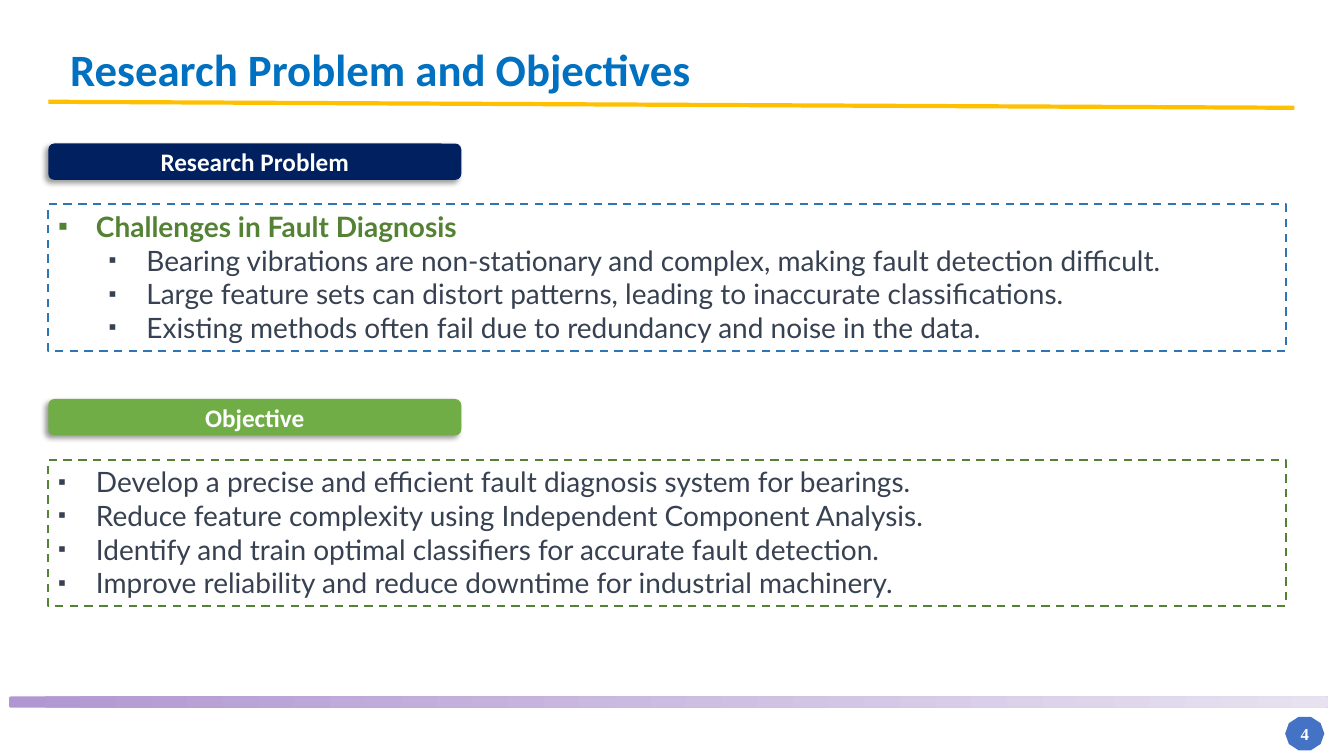
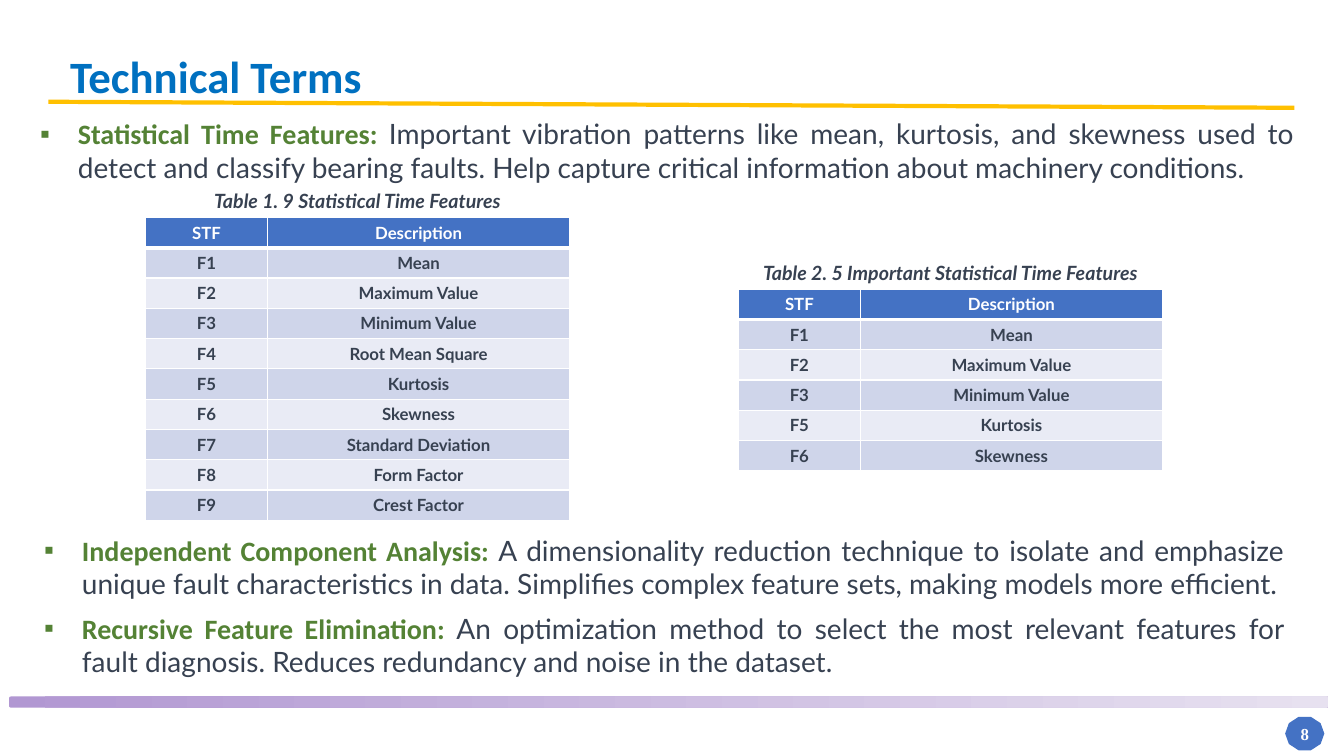
from dataclasses import dataclass

from pptx import Presentation
from pptx.dml.color import RGBColor
from pptx.enum.dml import MSO_LINE_DASH_STYLE as Dash
from pptx.enum.shapes import MSO_CONNECTOR as Connector, MSO_SHAPE as Shape
from pptx.enum.text import MSO_ANCHOR as Anchor, PP_ALIGN as Align
from pptx.oxml.ns import qn
from pptx.util import Pt
from lxml.etree import SubElement


@dataclass(frozen=True)
class Theme:
    heading_font: str = "Calibri"
    body_font: str = "Lato"
    number_font: str = "Times New Roman"
    title_size: float = 32
    body_size: float = 20
    label_size: float = 18
    caption_size: float = 14
    small_size: float = 12
    title: str = "0070C0"
    rule: str = "FFC000"
    text: str = "374151"
    term: str = "548235"
    white: str = "FFFFFF"
    navy: str = "002060"
    green: str = "70AD47"
    blue_frame: str = "2E75B6"
    accent: str = "4472C4"
    odd_row: str = "CFD5EA"
    even_row: str = "E9EBF5"
    band_start: str = "B197D2"
    band_end: str = "E7E1F0"


@dataclass(frozen=True)
class Box:
    left: float
    top: float
    width: float
    height: float

    def lengths(self):
        return Pt(self.left), Pt(self.top), Pt(self.width), Pt(self.height)


THEME = Theme()
INDENT = 27
ROW_HEIGHT = 21.6
COLUMN_WIDTHS = (87, 216)


def color(value):
    return RGBColor.from_string(value)


def style_font(font, name, size, value, bold=False, italic=False):
    font.name, font.size = name, Pt(size)
    font.bold, font.italic = bold, italic
    font.color.rgb = color(value)


def add_run(paragraph, text, *style, **options):
    run = paragraph.add_run()
    run.text = text
    style_font(run.font, *style, **options)


def add_bullet(paragraph, level=0, percent=100):
    paragraph.alignment = Align.JUSTIFY
    paragraph.level = level
    properties = paragraph._p.get_or_add_pPr()
    properties.set("marL", str(Pt(INDENT + 36 * level)))
    properties.set("indent", str(Pt(-INDENT)))
    SubElement(properties, qn("a:buSzPct"), val=str(percent * 1000))
    SubElement(properties, qn("a:buFont"), typeface="Arial")
    SubElement(properties, qn("a:buChar"), char="▪")


def add_shape(slide, kind, box, fill=None):
    shape = slide.shapes.add_shape(kind, *box.lengths())
    shape.shadow.inherit = False
    shape.line.fill.background()
    if fill:
        shape.fill.solid()
        shape.fill.fore_color.rgb = color(fill)
    else:
        shape.fill.background()
    return shape


def add_text_frame(slide, box):
    frame = slide.shapes.add_textbox(*box.lengths()).text_frame
    frame.word_wrap = True
    return frame


def center_text(shape, text, *style):
    frame = shape.text_frame
    frame.margin_left = frame.margin_right = 0
    frame.margin_top = frame.margin_bottom = 0
    frame.vertical_anchor = Anchor.MIDDLE
    paragraph = frame.paragraphs[0]
    paragraph.alignment = Align.CENTER
    add_run(paragraph, text, *style, bold=True)


def add_drop_shadow(shape):
    effects = shape._element.spPr.find(qn("a:effectLst"))
    shadow = SubElement(effects, qn("a:outerShdw"), blurRad=str(Pt(4)),
                        dist=str(Pt(3)), dir=str(135 * 60000),
                        algn="tr", rotWithShape="0")
    black = SubElement(shadow, qn("a:srgbClr"), val="000000")
    SubElement(black, qn("a:alpha"), val="40000")


def add_base(presentation, title, number, title_top):
    slide = presentation.slides.add_slide(presentation.slide_layouts[6])
    band = add_shape(slide, Shape.ROUNDED_RECTANGLE, Box(6.5, 497.5, 942, 8))
    band.fill.gradient()
    band.fill.gradient_angle = 0
    for stop, value in zip(band.fill.gradient_stops, (THEME.band_start, THEME.band_end)):
        stop.color.rgb = color(value)

    rule = slide.shapes.add_connector(Connector.STRAIGHT, Pt(34.5), Pt(72.7), Pt(924.5), Pt(77))
    rule.line.width = Pt(3)
    rule.line.color.rgb = color(THEME.rule)
    SubElement(rule._element.spPr, qn("a:effectLst"))

    frame = add_text_frame(slide, Box(43, title_top, 860, 46))
    add_run(frame.paragraphs[0], title, THEME.heading_font, THEME.title_size,
            THEME.title, bold=True)
    badge = add_shape(slide, Shape.DECAGON, Box(918, 512, 28, 24), THEME.accent)
    center_text(badge, str(number), THEME.number_font, THEME.small_size, THEME.white)
    return slide


def add_section(slide, box, label, fill, frame_color, items, heading=None):
    tag_box = Box(box.left, box.top, 295, 26)
    tag = add_shape(slide, Shape.ROUNDED_RECTANGLE, tag_box, fill)
    add_drop_shadow(tag)
    center_text(tag, label, THEME.heading_font, THEME.label_size, THEME.white)

    panel_box = Box(box.left, box.top + 43.5, box.width, box.height - 43.5)
    panel = add_shape(slide, Shape.RECTANGLE, panel_box)
    panel.line.color.rgb = color(frame_color)
    panel.line.width = Pt(1.5)
    panel.line.dash_style = Dash.DASH
    frame = panel.text_frame
    frame.word_wrap = True
    frame.vertical_anchor = Anchor.TOP
    lines = [heading, *items] if heading else items
    for index, text in enumerate(lines):
        paragraph = frame.add_paragraph() if index else frame.paragraphs[0]
        is_heading = text == heading
        level = 1 if heading and not is_heading else 0
        add_bullet(paragraph, level, 100 if is_heading else 80)
        add_run(paragraph, text, THEME.body_font, THEME.body_size,
                THEME.term if is_heading else THEME.text, bold=is_heading)


def add_term(slide, box, term, description):
    paragraph = add_text_frame(slide, box).paragraphs[0]
    add_bullet(paragraph)
    add_run(paragraph, f"{term}: ", THEME.heading_font, THEME.body_size, THEME.term, bold=True)
    add_run(paragraph, description, THEME.body_font, THEME.body_size, THEME.text)


def add_cell_borders(cell, bottom):
    properties = cell._tc.get_or_add_tcPr()
    for side, width in (("L", 1), ("R", 1), ("T", 1), ("B", bottom)):
        line = SubElement(properties, qn(f"a:ln{side}"), w=str(Pt(width)))
        fill = SubElement(line, qn("a:solidFill"))
        SubElement(fill, qn("a:srgbClr"), val=THEME.white)


def add_feature_table(slide, left, top, caption, features):
    width = sum(COLUMN_WIDTHS)
    frame = add_text_frame(slide, Box(left - 9.5, top, width + 19, 24))
    paragraph = frame.paragraphs[0]
    paragraph.alignment = Align.CENTER
    add_run(paragraph, caption, THEME.body_font, THEME.caption_size, THEME.text,
            bold=True, italic=True)

    rows = [("STF", "Description"), *features]
    box = Box(left, top + 24, width, ROW_HEIGHT * len(rows))
    table = slide.shapes.add_table(len(rows), len(COLUMN_WIDTHS), *box.lengths()).table
    for column, column_width in zip(table.columns, COLUMN_WIDTHS):
        column.width = Pt(column_width)
    for row_index, values in enumerate(rows):
        table.rows[row_index].height = Pt(ROW_HEIGHT)
        is_header = row_index == 0
        row_fill = THEME.odd_row if row_index % 2 else THEME.even_row
        for column_index, text in enumerate(values):
            cell = table.cell(row_index, column_index)
            add_cell_borders(cell, 3 if is_header else 1)
            cell.fill.solid()
            cell.fill.fore_color.rgb = color(THEME.accent if is_header else row_fill)
            paragraph = cell.text_frame.paragraphs[0]
            paragraph.alignment = Align.CENTER
            add_run(paragraph, text, THEME.body_font, THEME.small_size,
                    THEME.white if is_header else THEME.text, bold=True)


def build_objectives(presentation):
    slide = add_base(presentation, "Research Problem and Objectives", 4, 26.6)
    add_section(slide, Box(34.5, 102.5, 884, 148), "Research Problem",
                THEME.navy, THEME.blue_frame, [
                    "Bearing vibrations are non-stationary and complex, making fault detection difficult.",
                    "Large feature sets can distort patterns, leading to inaccurate classifications.",
                    "Existing methods often fail due to redundancy and noise in the data.",
                ], "Challenges in Fault Diagnosis")
    add_section(slide, Box(34.5, 285, 884, 148), "Objective", THEME.green, THEME.term, [
        "Develop a precise and efficient fault diagnosis system for bearings.",
        "Reduce feature complexity using Independent Component Analysis.",
        "Identify and train optimal classifiers for accurate fault detection.",
        "Improve reliability and reduce downtime for industrial machinery.",
    ])


def build_terms(presentation):
    slide = add_base(presentation, "Technical Terms", 8, 31)
    add_term(slide, Box(21.5, 80, 910, 55.5), "Statistical Time Features",
             "Important vibration patterns like mean, kurtosis, and skewness used to detect and "
             "classify bearing faults. Help capture critical information about machinery conditions.")
    names = ("Mean", "Maximum Value", "Minimum Value", "Root Mean Square", "Kurtosis",
             "Skewness", "Standard Deviation", "Form Factor", "Crest Factor")
    features = [(f"F{index}", name) for index, name in enumerate(names, 1)]
    important = [features[index - 1] for index in (1, 2, 3, 5, 6)]
    add_feature_table(slide, 104, 131.3, "Table 1. 9 Statistical Time Features", features)
    add_feature_table(slide, 527.5, 182.5, "Table 2. 5 Important Statistical Time Features", important)
    lower_terms = (
        ("Independent Component Analysis",
         "A dimensionality reduction technique to isolate and emphasize unique fault "
         "characteristics in data. Simplifies complex feature sets, making models more efficient."),
        ("Recursive Feature Elimination",
         "An optimization method to select the most relevant features for fault diagnosis. "
         "Reduces redundancy and noise in the dataset."),
    )
    for index, (term, description) in enumerate(lower_terms):
        add_term(slide, Box(24.5, 377.3 + 55.7 * index, 900, 55.5), term, description)


def main():
    presentation = Presentation()
    presentation.slide_width, presentation.slide_height = Pt(960), Pt(540)
    build_objectives(presentation)
    build_terms(presentation)
    presentation.save("out.pptx")


if __name__ == "__main__":
    main()
